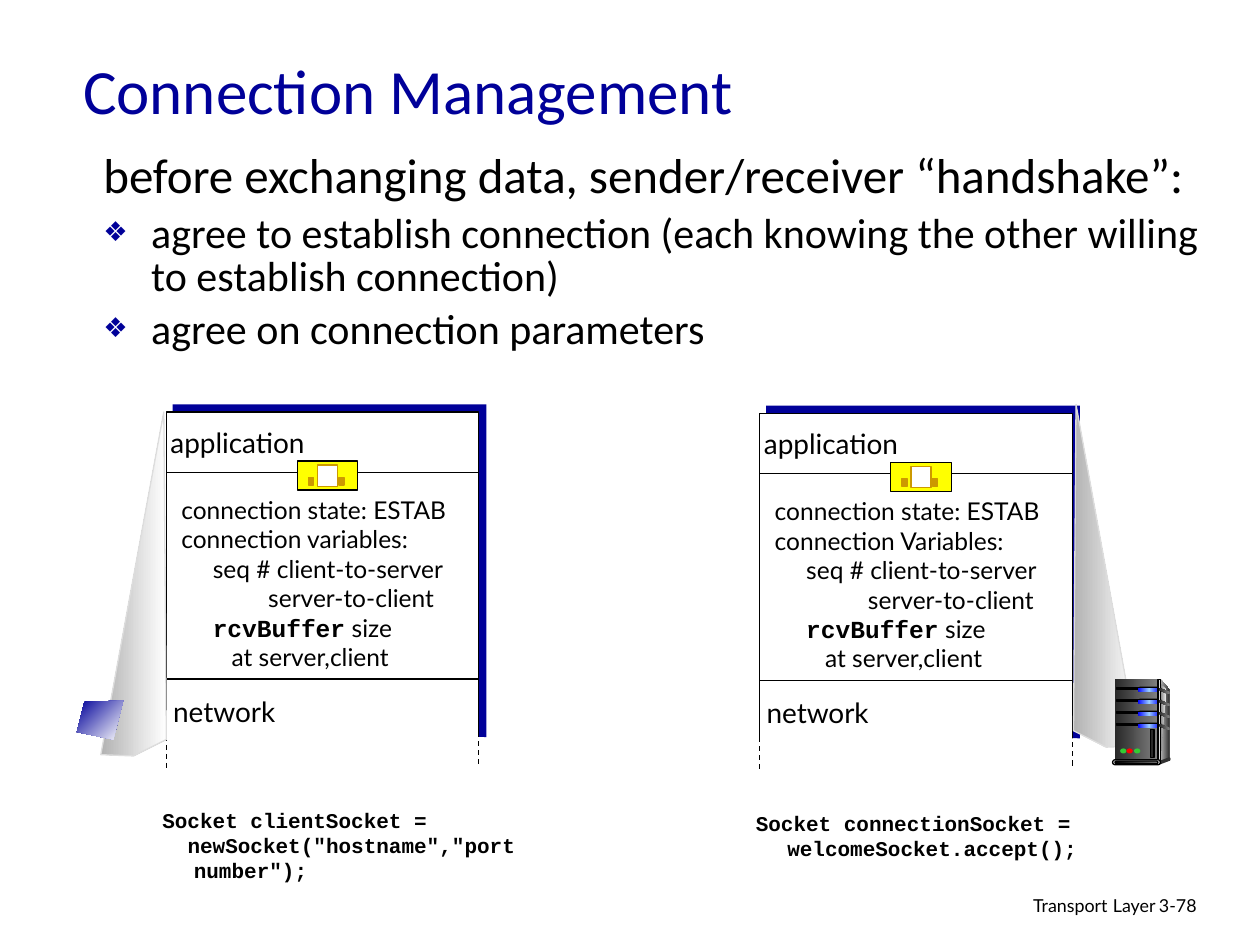
"""Build the Connection Management slide with two host stacks and a server."""
from dataclasses import dataclass
from typing import Any, Optional

from lxml import etree
from pptx import Presentation
from pptx import util as u
from pptx.dml import color as dml_color
from pptx.enum import dml, shapes, text
from pptx.oxml import ns
from copy import deepcopy

NAVY, BLACK, WHITE, GOLD = "000099", "000000", "FFFFFF", "CC9900"
DARK, GREY, LIGHT, EDGE = "292929", "808080", "DDDDDD", "333333"
Point = tuple[float, float]
LEFT, CENTER, RIGHT = text.PP_ALIGN.LEFT, text.PP_ALIGN.CENTER, text.PP_ALIGN.RIGHT
RECT, ROUND, OVAL = (shapes.MSO_SHAPE.RECTANGLE, shapes.MSO_SHAPE.ROUNDED_RECTANGLE,
                     shapes.MSO_SHAPE.OVAL)


@dataclass
class Run:
    words: str
    size: float
    font: str = "Lato"
    bold: bool = False
    color: str = BLACK


@dataclass
class Para:
    runs: list[Run]
    margin: float = 0
    indent: float = 0
    align: Any = LEFT
    spacing: float = 1.0
    before: float = 0
    bullet: Optional[str] = None


@dataclass
class Host:
    left: float
    top: float
    variables: str
    reply_indent: float
    cone: list[Point]
    code_top: float
    code: list[Para]


def rgb(value: str) -> dml_color.RGBColor:
    """Turn a hex string into a colour."""
    return dml_color.RGBColor.from_string(value)


def paint(shape: Any, colors: list[str], line: Optional[str] = None, angle: float = 0) -> None:
    """Fill a shape with one colour or an even gradient, and outline it."""
    shape.shadow.inherit = False
    if len(colors) == 1:
        shape.fill.solid()
        shape.fill.fore_color.rgb = rgb(colors[0])
    else:
        shape.fill.gradient()
        shape.fill.gradient_angle = angle
        stops = shape._element.spPr.find(".//" + ns.qn("a:gsLst"))
        while len(stops) < len(colors):
            stops.append(deepcopy(stops[0]))
        for index, (stop, value) in enumerate(zip(shape.fill.gradient_stops, colors)):
            stop.color.rgb = rgb(value)
            stop.position = index / (len(colors) - 1)
    if line:
        shape.line.color.rgb = rgb(line)
        shape.line.width = u.Pt(0.75)
    else:
        shape.line.fill.background()


def block(parent: Any, left: float, top: float, width: float, height: float, colors: list[str],
          line: Optional[str] = None, kind: Any = RECT) -> None:
    """Draw a preset shape."""
    shape = parent.add_shape(kind, *map(u.Inches, (left, top, width, height)))
    if kind == ROUND:
        shape.adjustments[0] = 0.5
    paint(shape, colors, line)


def outline(parent: Any, points: list[Point], colors: list[str],
            line: Optional[str] = None, angle: float = 0) -> None:
    """Draw a closed polygon."""
    corners = [(u.Inches(x), u.Inches(y)) for x, y in points]
    builder = parent.build_freeform(*corners[0], scale=1.0)
    builder.add_line_segments(corners[1:], close=True)
    paint(builder.convert_to_shape(), colors, line, angle)


def rule(parent: Any, start: Point, end: Point, dashed: bool = False) -> None:
    """Draw a thin black line."""
    line = parent.add_connector(shapes.MSO_CONNECTOR.STRAIGHT, *map(u.Inches, start + end))
    line.line.color.rgb = rgb(BLACK)
    line.line.width = u.Pt(0.75)
    if dashed:
        line.line.dash_style = dml.MSO_LINE.DASH
    etree.SubElement(line._element.spPr, ns.qn("a:effectLst"))


def write(frame: Any, paras: list[Para]) -> None:
    """Write paragraphs run by run."""
    for index, para in enumerate(paras):
        target = frame.paragraphs[0] if index == 0 else frame.add_paragraph()
        props = target._p.get_or_add_pPr()
        props.set("marL", str(u.Inches(para.margin)))
        props.set("indent", str(u.Inches(para.indent)))
        if para.bullet:
            tint = etree.SubElement(props, ns.qn("a:buClr"))
            etree.SubElement(tint, ns.qn("a:srgbClr"), val=NAVY)
            etree.SubElement(props, ns.qn("a:buSzPct"), val="65000")
            etree.SubElement(props, ns.qn("a:buChar"), char=para.bullet)
        else:
            etree.SubElement(props, ns.qn("a:buNone"))
        target.alignment = para.align
        target.line_spacing = para.spacing
        target.space_before = u.Pt(para.before)
        for part in para.runs:
            run = target.add_run()
            run.text = part.words
            run.font.size, run.font.name, run.font.bold = u.Pt(part.size), part.font, part.bold
            run.font.color.rgb = rgb(part.color)


def label(parent: Any, left: float, top: float, width: float, height: float,
          paras: list[Para], wrap: bool = True) -> None:
    """Add a text box."""
    frame = parent.add_textbox(*map(u.Inches, (left, top, width, height))).text_frame
    frame.word_wrap = wrap
    write(frame, paras)


def fill_placeholder(holder: Any, left: float, top: float, width: float, height: float,
                     anchor: Any, paras: list[Para]) -> None:
    """Move a placeholder and write its text."""
    holder.left, holder.top, holder.width, holder.height = map(
        u.Inches, (left, top, width, height))
    holder.text_frame.auto_size = text.MSO_AUTO_SIZE.NONE
    holder.text_frame.vertical_anchor = anchor
    write(holder.text_frame, paras)


def draw_host(parent: Any, host: Host) -> None:
    """Draw one protocol stack with its socket, state and code."""
    x, y = host.left, host.top
    block(parent, x + 0.05, y - 0.06, 2.49, 2.64, [NAVY])
    block(parent, x, y, 2.48, 2.7, [WHITE], BLACK)
    rule(parent, (x, y + 0.48), (x + 2.48, y + 0.48))
    state = [Para([Run("connection state: ESTAB", 14)]),
             Para([Run(host.variables, 14)]),
             Para([Run("seq # client-to-server", 14)], 0.25),
             Para([Run("server-to-client", 14)], host.reply_indent),
             Para([Run("rcvBuffer", 14, "Courier New", True), Run(" size", 14)], 0.25),
             Para([Run("at server,client", 14)], 0.4)]
    label(parent, x + 0.02, y + 0.61, 2.55, 1.74, state)
    socket = parent.add_group_shape().shapes
    block(socket, x + 1.04, y + 0.39, 0.48, 0.23, ["FFFF00"], BLACK)
    block(socket, x + 1.2, y + 0.42, 0.16, 0.17, [WHITE], GOLD)
    for offset in (1.37, 1.13):
        block(socket, x + offset, y + 0.52, 0.04, 0.06, [GOLD], GOLD)
    label(parent, x - 0.11, y + 0.06, 1.35, 0.37,
          [Para([Run("application", 16)], align=CENTER)], False)
    rule(parent, (x, y + 2.12), (x + 2.48, y + 2.12))
    label(parent, x - 0.07, y + 2.19, 1.06, 0.37,
          [Para([Run("network", 16)], align=CENTER)], False)
    block(parent, x - 0.03, y + 2.58, 2.55, 0.2, [WHITE])
    rule(parent, (x, y + 2.57), (x, y + 2.83), True)
    rule(parent, (x + 2.48, y + 2.54), (x + 2.48, y + 2.8), True)
    outline(parent, host.cone, ["B2B2B2", WHITE], LIGHT)
    label(parent, x - 0.13, host.code_top, 3.16, 0.7, host.code)


def draw_server(parent: Any) -> None:
    """Draw the server tower."""
    tower = parent.add_group_shape().shapes
    bays = [5.45 + 0.095 * index for index in range(4)]
    outline(tower, [(9.21, 5.39), (9.28, 5.47), (9.28, 6.01), (9.19, 6.04)], [LIGHT, EDGE])
    block(tower, 8.85, 5.39, 0.34, 0.65, [DARK, GREY])
    outline(tower, [(9.21, 5.43), (9.26, 5.48), (9.23, 5.75), (9.21, 6.02)], [GREY, "F8F8F8"])
    for y in bays:
        block(tower, 8.86, y + 0.01, 0.19, 0.01, [BLACK], BLACK)
        block(tower, 9.03, y, 0.19, 0.04, [BLACK], kind=ROUND)
        block(tower, 9.03, y + 0.01, 0.18, 0.03, ["0000FF", "99CCFF", "0000FF"], kind=ROUND)
    block(tower, 9.19, 5.39, 0.02, 0.65, [EDGE, LIGHT, EDGE], BLACK)
    for y in bays:
        outline(tower, [(9.2, y + 0.01), (9.28, y + 0.04), (9.28, y + 0.06), (9.2, y + 0.03)],
                [DARK, GREY])
    block(tower, 9.27, 6.01, 0.02, 0.03, [EDGE], kind=OVAL)
    outline(tower, [(9.2, 6.04), (9.2, 6.07), (9.28, 6.04), (9.28, 6.01)], [EDGE])
    block(tower, 8.83, 6.03, 0.38, 0.04, [LIGHT], BLACK, ROUND)
    block(tower, 8.85, 6.04, 0.34, 0.02, [BLACK, GREY], BLACK, ROUND)
    for x, light in ((8.89, "33CC33"), (8.94, "FF0000"), (9, "33CC33")):
        block(tower, x, 5.94, 0.05, 0.04, [light], kind=OVAL)
    block(tower, 9.13, 5.79, 0.03, 0.22, [DARK], BLACK)


def code(words: str, indent: float = -0.25) -> Para:
    """Make a paragraph of code with a hanging indent."""
    return Para([Run(words, 12, "Courier New", True)], 0.25, indent)


def main() -> None:
    """Build and save the slide."""
    deck = Presentation()
    deck.slide_width, deck.slide_height = u.Inches(10), u.Inches(7.5)
    slide = deck.slides.add_slide(deck.slide_layouts[1])
    parts = slide.shapes
    fill_placeholder(parts.title, 0.56, 0.21, 8.5, 1, text.MSO_ANCHOR.MIDDLE,
                     [Para([Run("Connection Management", 36, "Calibri", color=NAVY)])])
    goals = ["agree to establish connection (each knowing the other willing to establish connection)",
             "agree on connection parameters"]
    intro = Run("before exchanging data, sender/receiver “handshake”:", 28, "Calibri")
    fill_placeholder(
        slide.placeholders[1], 0.72, 1.17, 9.12, 2.39, text.MSO_ANCHOR.TOP,
        [Para([intro], 0.38, -0.38, spacing=0.85)]
        + [Para([Run(goal, 24, "Calibri")], 0.38, -0.38, LEFT, 0.85, 6, "❖") for goal in goals])
    client = Host(1.32, 3.27, "connection variables:", 0.69,
                  [(0.8, 5.99), (1.3, 3.27), (1.32, 5.87), (1.06, 6)], 6.36,
                  [code("Socket clientSocket ="),
                   code('newSocket("hostname","port number");', -0.05)])
    server = Host(6.03, 3.28, "connection Variables:", 0.74,
                  [(9.03, 5.92), (8.54, 3.21), (8.52, 5.8), (8.78, 5.93)], 6.38,
                  [code("Socket connectionSocket = welcomeSocket.accept();")])
    for host in (client, server):
        draw_host(parts, host)
    outline(parts, [(0.98, 5.56), (0.67, 5.57), (0.61, 5.81), (0.9, 5.87)], [NAVY, WHITE], angle=315)
    draw_server(parts)
    layer = [Run("Transport", 10.2), Run(" ", 11.9), Run("Layer", 10.2)]
    label(parts, 6.1, 7.05, 3.17, 0.31, [Para(layer, align=RIGHT, spacing=0.9)])
    label(parts, 9.1, 7.07, 0.74, 0.3, [Para([Run("3-78", 10.2)], spacing=0.9)])
    deck.save("out.pptx")


if __name__ == "__main__":
    main()
